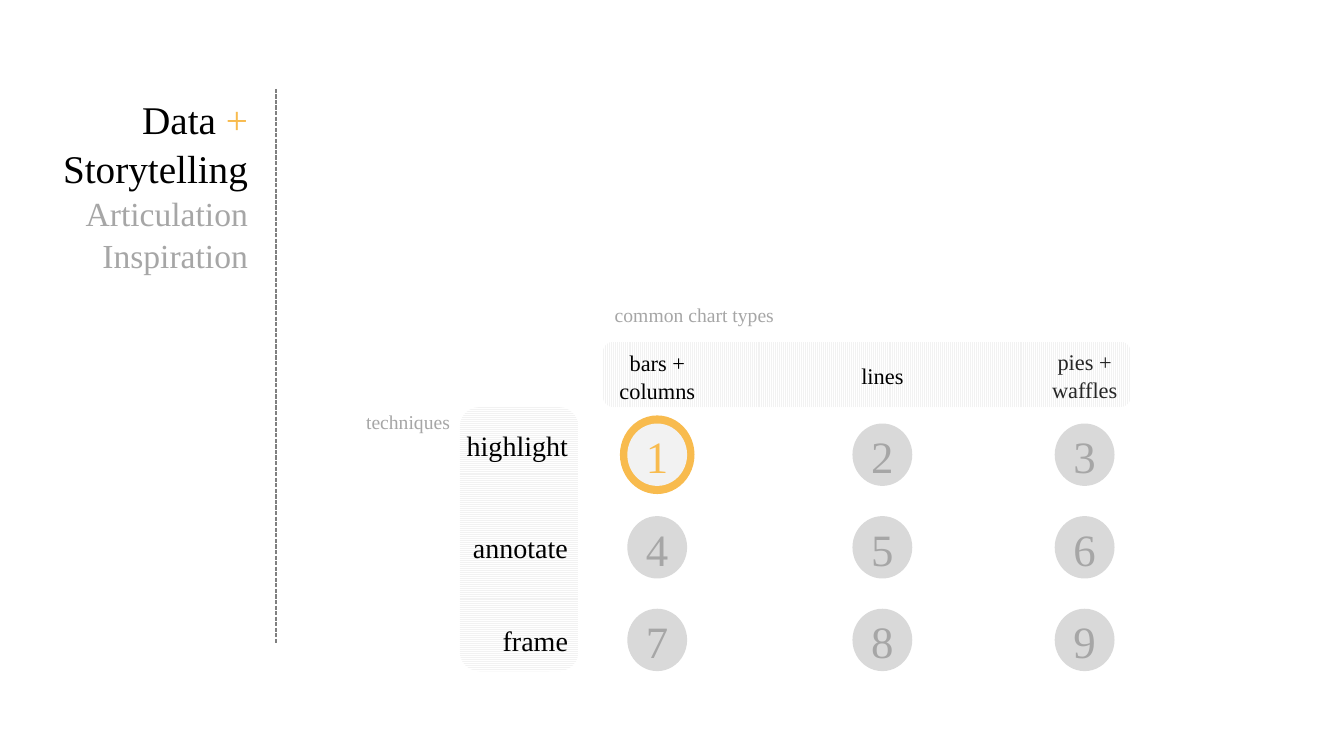
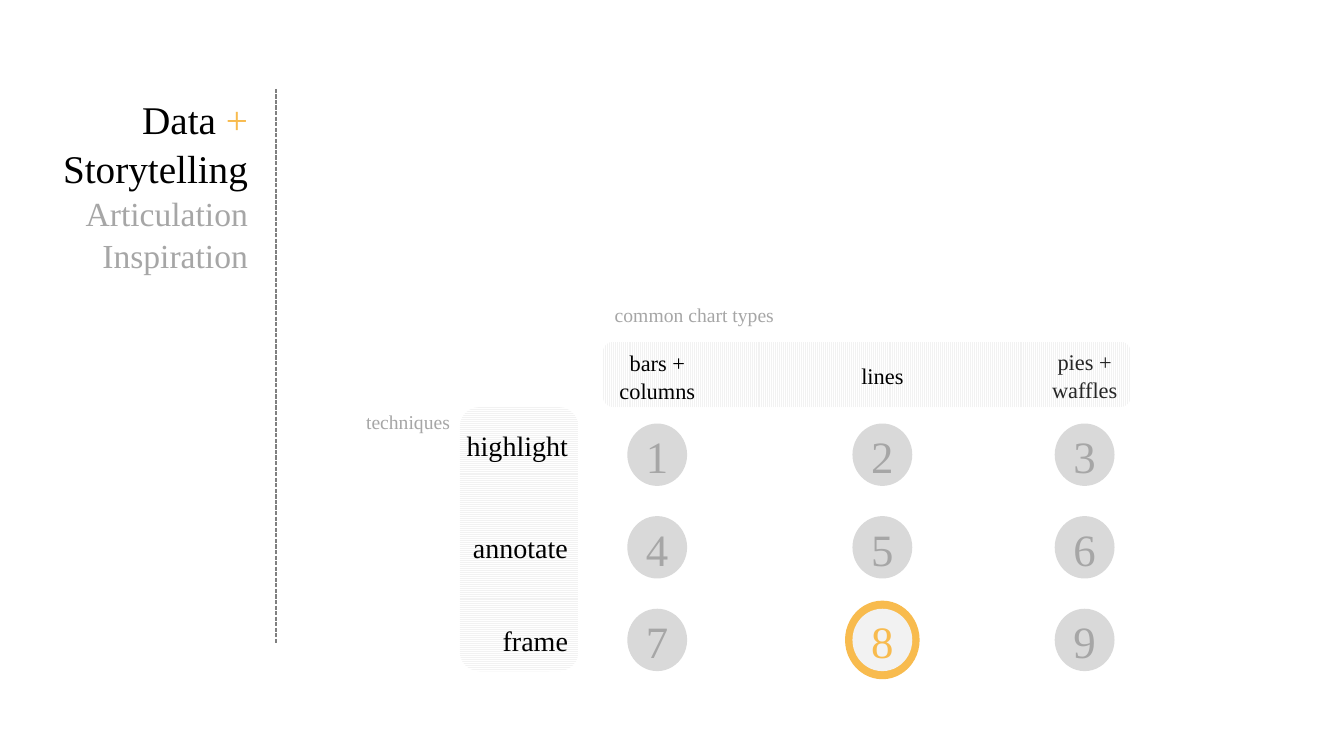
from lxml import etree
from pptx import Presentation
from pptx.dml.color import RGBColor
from pptx.enum.dml import MSO_LINE, MSO_PATTERN
from pptx.enum.shapes import MSO_CONNECTOR, MSO_SHAPE
from pptx.enum.text import MSO_ANCHOR, MSO_AUTO_SIZE, PP_ALIGN
from pptx.oxml.ns import qn
from pptx.util import Inches, Pt

BLACK = RGBColor(0x00, 0x00, 0x00)
DARK = RGBColor(0x26, 0x26, 0x26)
LINE_GRAY = RGBColor(0x80, 0x80, 0x80)
GRAY = RGBColor(0xA6, 0xA6, 0xA6)
DISC = RGBColor(0xD9, 0xD9, 0xD9)
PALE = RGBColor(0xF2, 0xF2, 0xF2)
WHITE = RGBColor(0xFF, 0xFF, 0xFF)
AMBER = RGBColor(0xF8, 0xBB, 0x4E)
FONT = "Times New Roman"

prs = Presentation()
prs.slide_width = Inches(13.33)
prs.slide_height = Inches(7.5)
COL = prs.slide_width / 100
ROW = prs.slide_height / 100

COL_CENTERS = [48.9, 65.65, 80.7]
ROW_CENTERS = [60.15 + 12.25 * i for i in range(3)]
DISC_SIZE = (4.45, 8.25)
RING_SIZE = (5.55, 10.4)

BANDS = [
    (44.85, 45.2, 39.3, 8.65, MSO_PATTERN.LIGHT_VERTICAL),
    (34.2, 53.85, 8.85, 34.95, MSO_PATTERN.LIGHT_HORIZONTAL),
]
LABELS = [
    ("techniques", 26.5, 53.45, 12.45, 4.55, 14, GRAY, PP_ALIGN.LEFT),
    ("common chart types", 45, 39.35, 18.45, 4.55, 14, GRAY, PP_ALIGN.LEFT),
]
for text, y in [("highlight", 55.85), ("annotate", 69.3), ("frame", 81.6)]:
    LABELS.append((text, 32.1, y, 10.9, 5.85, 20, BLACK, PP_ALIGN.RIGHT))
HEADS = [
    ("bars + columns", 45.35, 8.55, BLACK),
    ("lines", 47.05, 4.95, BLACK),
    ("pies + waffles", 45.2, 8.55, DARK),
]
for cx, (text, y, h, color) in zip(COL_CENTERS, HEADS):
    LABELS.append((text, cx - 4.22, y, 8.45, h, 16, color, PP_ALIGN.CENTER))

TITLE = [
    [("Data ", 28, BLACK), ("+", 28, AMBER)],
    [("Storytelling", 28, BLACK)],
    [("Articulation Inspiration", 24, GRAY)],
]


def add_run(p, text, size, color, align):
    p.alignment = align
    p.line_spacing = 1.04
    r = p.add_run()
    r.text = text
    r.font.name = FONT
    r.font.size = Pt(size)
    r.font.color.rgb = color


def add_plain_shape(s, kind, x, y, w, h):
    sp = s.shapes.add_shape(kind, int(x * COL), int(y * ROW), int(w * COL), int(h * ROW))
    sp.shadow.inherit = False
    sp.line.fill.background()
    return sp


for active in (1, 8):
    s = prs.slides.add_slide(prs.slide_layouts[5])

    for x, y, w, h, pattern in BANDS:
        sp = add_plain_shape(s, MSO_SHAPE.ROUNDED_RECTANGLE, x, y, w, h)
        sp.fill.patterned()
        sp.fill.pattern = pattern
        sp.fill.fore_color.rgb = PALE
        sp.fill.back_color.rgb = WHITE

    divider = s.shapes.add_connector(
        MSO_CONNECTOR.STRAIGHT,
        int(20.55 * COL), int(11.75 * ROW), int(20.55 * COL), int(85.05 * ROW),
    )
    divider.line.color.rgb = LINE_GRAY
    divider.line.width = Pt(1)
    divider.line.dash_style = MSO_LINE.SQUARE_DOT
    etree.SubElement(divider._element.spPr, qn("a:effectLst"))

    title = s.shapes.title
    title.left, title.top = int(3.1 * COL), int(11.75 * ROW)
    title.width, title.height = int(16.1 * COL), int(24.7 * ROW)
    tf = title.text_frame
    tf.word_wrap = True
    tf.auto_size = MSO_AUTO_SIZE.SHAPE_TO_FIT_TEXT
    tf.vertical_anchor = MSO_ANCHOR.TOP
    for i, runs in enumerate(TITLE):
        p = tf.add_paragraph() if i else tf.paragraphs[0]
        for text, size, color in runs:
            add_run(p, text, size, color, PP_ALIGN.RIGHT)

    for text, x, y, w, h, size, color, align in LABELS:
        box = s.shapes.add_textbox(int(x * COL), int(y * ROW), int(w * COL), int(h * ROW))
        tf = box.text_frame
        tf.word_wrap = True
        tf.auto_size = MSO_AUTO_SIZE.SHAPE_TO_FIT_TEXT
        add_run(tf.paragraphs[0], text, size, color, align)

    for n in range(1, 10):
        row, col = divmod(n - 1, 3)
        cx, cy = COL_CENTERS[col], ROW_CENTERS[row]
        layers = [(DISC_SIZE, DISC)]
        if n == active:
            layers = [(RING_SIZE, AMBER), (DISC_SIZE, PALE)]
        for (w, h), color in layers:
            sp = add_plain_shape(s, MSO_SHAPE.OVAL, cx - w / 2, cy - h / 2, w, h)
            sp.fill.solid()
            sp.fill.fore_color.rgb = color
        tf = sp.text_frame
        tf.margin_left = tf.margin_right = 0
        tf.vertical_anchor = MSO_ANCHOR.MIDDLE
        add_run(tf.paragraphs[0], str(n), 32, AMBER if n == active else GRAY, PP_ALIGN.CENTER)

prs.save("out.pptx")
